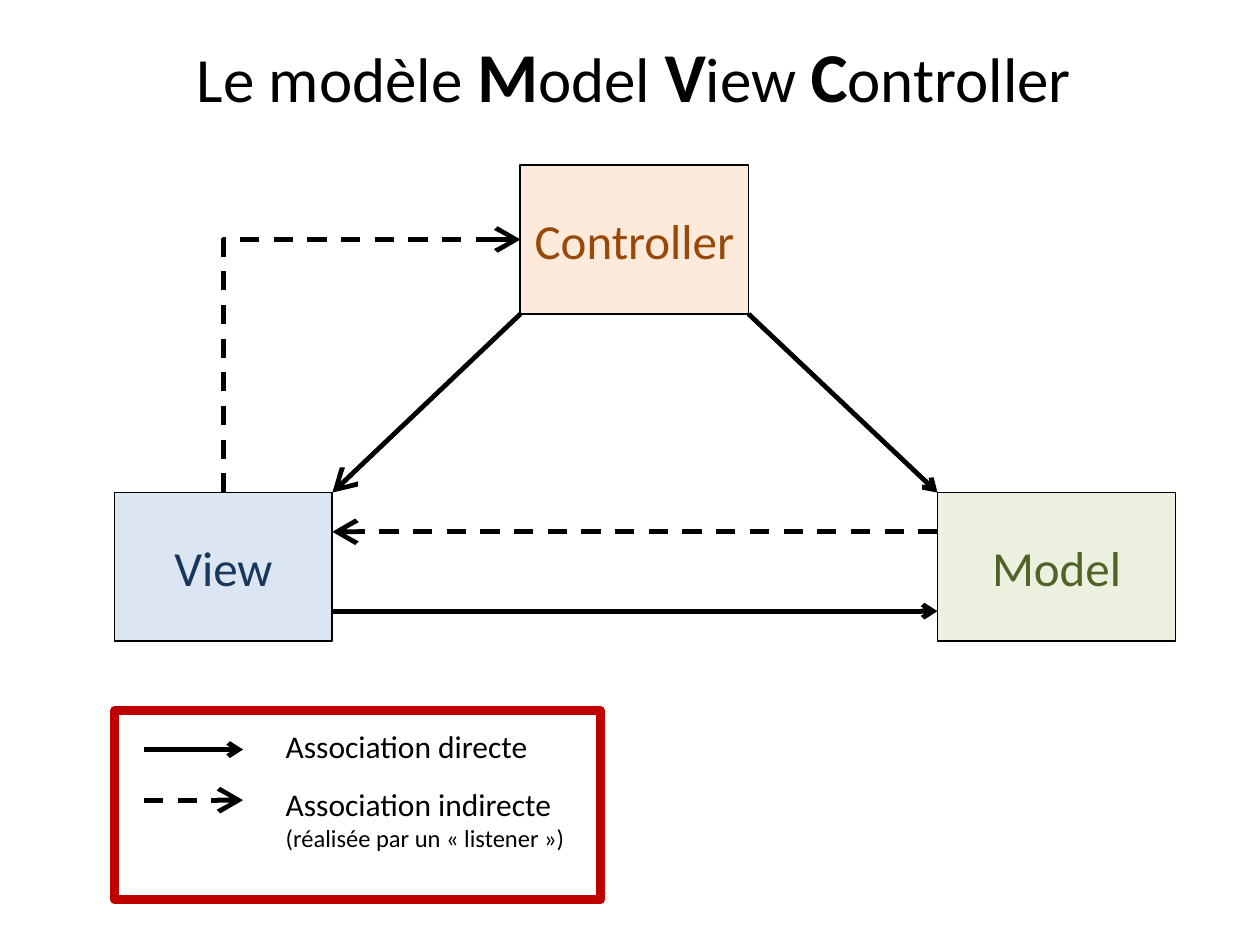
"""Builds a slide that explains the Model View Controller pattern."""
from pptx import Presentation
from pptx.dml.color import RGBColor
from pptx.enum.dml import MSO_LINE
from pptx.enum.shapes import MSO_CONNECTOR, MSO_SHAPE
from pptx.enum.text import MSO_ANCHOR, MSO_AUTO_SIZE, PP_ALIGN
from pptx.oxml.ns import qn
from pptx.util import Cm, Pt
from lxml.etree import SubElement


def color(hex_string):
    return RGBColor.from_string(hex_string)


def add_arrow(shapes, start, end, dashed=False, head="med", kind=MSO_CONNECTOR.STRAIGHT):
    arrow = shapes.add_connector(kind, *(Cm(value) for value in start + end))
    arrow.line.color.rgb = color("000000")
    arrow.line.width = Pt(2.75)
    if dashed:
        arrow.line.dash_style = MSO_LINE.DASH
    SubElement(arrow.line._get_or_add_ln(), qn("a:tailEnd"), type="arrow", w=head, len=head)
    SubElement(arrow._element.spPr, qn("a:effectLst"))
    return arrow


presentation = Presentation()
presentation.slide_width = Cm(25.4)
presentation.slide_height = Cm(19.05)
slide = presentation.slides.add_slide(presentation.slide_layouts[5])

title = slide.shapes.title
title.left, title.top, title.width, title.height = Cm(3.71), Cm(0.53), Cm(18.14), Cm(1.96)
title.text_frame.word_wrap = False
title.text_frame.auto_size = MSO_AUTO_SIZE.NONE
paragraph = title.text_frame.paragraphs[0]
paragraph.font.name = "Calibri"
paragraph.font.color.rgb = color("000000")
for text, initial in [("Le modèle ", False), ("M", True), ("odel ", False), ("V", True),
                      ("iew ", False), ("C", True), ("ontroller", False)]:
    run = paragraph.add_run()
    run.text = text
    run.font.size = Pt(40 if initial else 36)
    run.font.bold = initial

box_height = 3
view_left, view_right, model_left = 2.31, 6.7, 18.9
controller_left, controller_right = 10.49, 15.09
controller_top, lower_top = 3.33, 9.93
controller_bottom = controller_top + box_height

boxes = {}
for name, left, top, width, fill, ink in [
    ("View", view_left, lower_top, view_right - view_left, "DCE6F2", "17375E"),
    ("Controller", controller_left, controller_top, controller_right - controller_left,
     "FDEADA", "984807"),
    ("Model", model_left, lower_top, 4.8, "EBF1DE", "4F6228"),
]:
    box = slide.shapes.add_shape(MSO_SHAPE.RECTANGLE, Cm(left), Cm(top), Cm(width), Cm(box_height))
    box.shadow.inherit = False
    box.fill.solid()
    box.fill.fore_color.rgb = color(fill)
    box.line.color.rgb = color("000000")
    box.line.width = Pt(1)
    box.text_frame.word_wrap = False
    box.text_frame.vertical_anchor = MSO_ANCHOR.MIDDLE
    paragraph = box.text_frame.paragraphs[0]
    paragraph.text = name
    paragraph.alignment = PP_ALIGN.CENTER
    paragraph.font.name = "Calibri"
    paragraph.font.size = Pt(28)
    paragraph.font.color.rgb = color(ink)
    boxes[name] = box

view_middle = (view_left + view_right) / 2
controller_middle = controller_top + box_height / 2
elbow = add_arrow(slide.shapes, (view_middle, lower_top), (controller_left, controller_middle),
                  True, "lg", MSO_CONNECTOR.ELBOW)
elbow.begin_connect(boxes["View"], 0)
elbow.end_connect(boxes["Controller"], 1)
across = controller_left - view_middle
rise = lower_top - controller_middle
elbow.left = Cm((view_middle + controller_left - rise) / 2)
elbow.top = Cm((lower_top + controller_middle - across) / 2)
elbow.width, elbow.height = Cm(rise), Cm(across)
elbow_frame = elbow._element.spPr.find(qn("a:xfrm"))
for attribute, value in [("rot", "5400000"), ("flipH", "1"), ("flipV", "1")]:
    elbow_frame.set(attribute, value)
elbow._element.spPr.find(qn("a:prstGeom")).set("prst", "bentConnector2")

add_arrow(slide.shapes, (model_left, 10.72), (view_right, 10.72), True, "lg")
add_arrow(slide.shapes, (controller_left, controller_bottom), (view_right, lower_top), head="lg")
add_arrow(slide.shapes, (controller_right, controller_bottom), (model_left, lower_top))
add_arrow(slide.shapes, (view_right, 12.32), (model_left, 12.32))

legend = slide.shapes.add_group_shape()
add_arrow(legend.shapes, (2.9, 15.11), (4.9, 15.11))
add_arrow(legend.shapes, (2.9, 16.13), (4.9, 16.13), True, "lg")
for top, width, height, lines in [
    (14.53, 5.44, 1.02, [("Association directe", 18)]),
    (15.7, 6.2, 1.63, [("Association indirecte", 18), ("(réalisée par un « listener »)", 14)]),
]:
    label = legend.shapes.add_textbox(Cm(5.51), Cm(top), Cm(width), Cm(height))
    label.text_frame.word_wrap = False
    paragraph = label.text_frame.paragraphs[0]
    paragraph.font.name = "Calibri"
    paragraph.font.color.rgb = color("000000")
    for index, (text, size) in enumerate(lines):
        if index:
            paragraph.add_line_break()
        run = paragraph.add_run()
        run.text = text
        run.font.size = Pt(size)
frame = legend.shapes.add_shape(MSO_SHAPE.RECTANGLE, Cm(view_left), Cm(14.33), Cm(9.8), Cm(3.81))
frame.shadow.inherit = False
frame.fill.background()
frame.line.color.rgb = color("C00000")
frame.line.width = Pt(5)

presentation.save("out.pptx")
